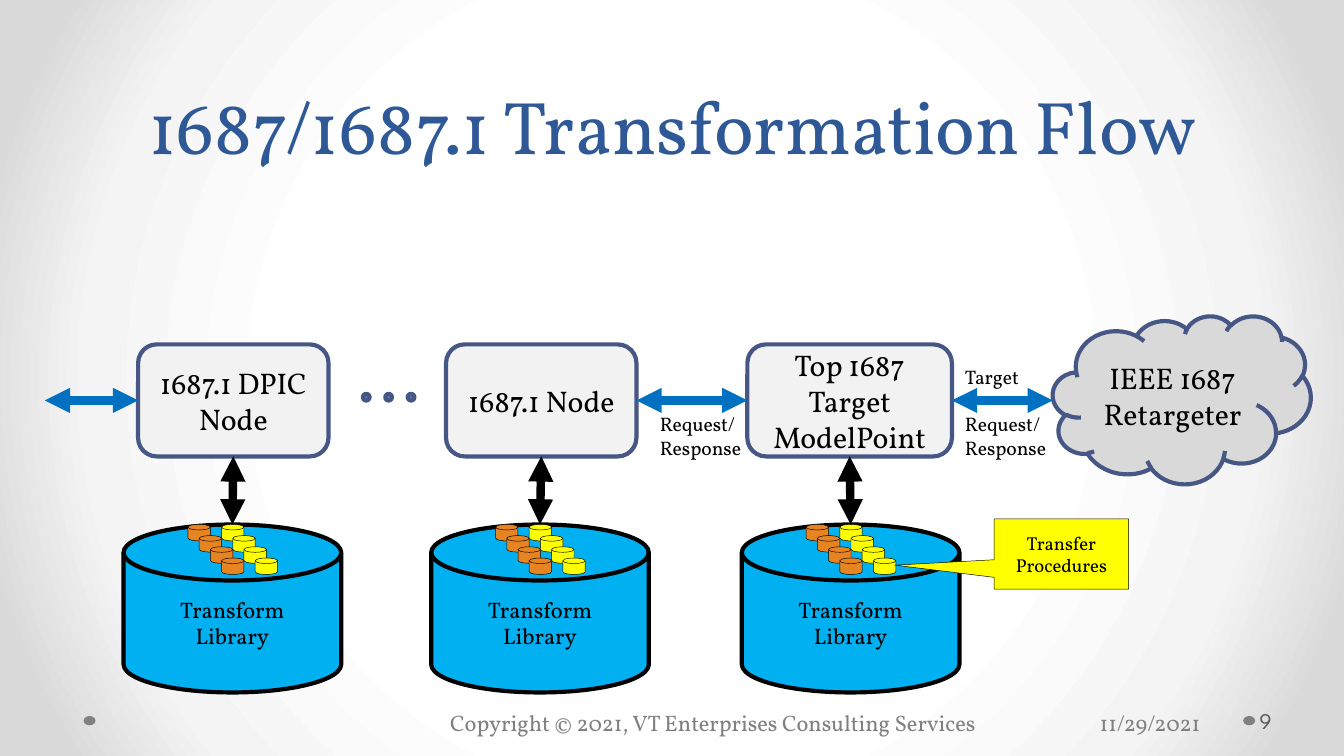
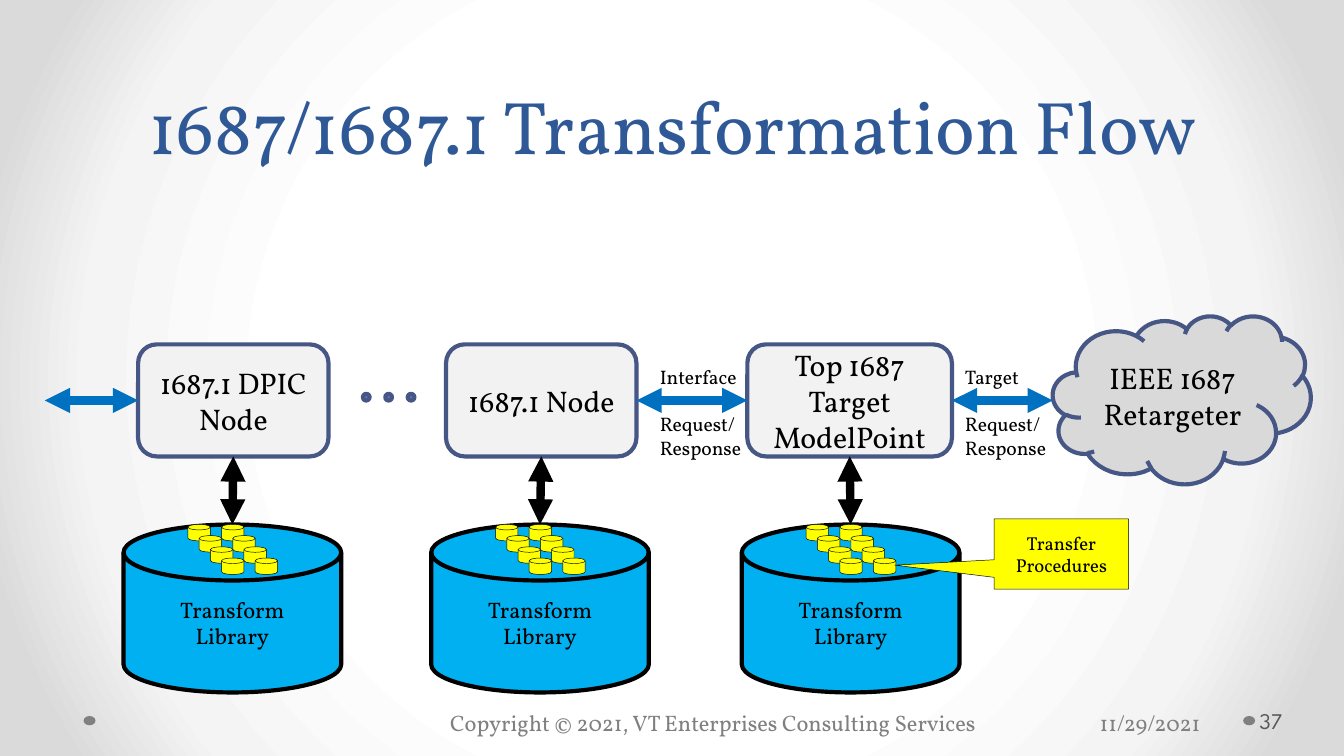
import lxml.etree
import pptx
import pptx.dml.color
import pptx.enum.shapes
import pptx.enum.text
import pptx.oxml
import pptx.oxml.ns
import pptx.util

Pt = pptx.util.Pt
RGBColor = pptx.dml.color.RGBColor
SHAPE = pptx.enum.shapes.MSO_SHAPE
ANCHOR = pptx.enum.text.MSO_ANCHOR
ALIGN = pptx.enum.text.PP_ALIGN
qn = pptx.oxml.ns.qn

# Content
TITLE = "1687/1687.1 Transformation Flow"
COPYRIGHT = "Copyright © 2021, VT Enterprises Consulting Services"
DATE = "11/29/2021"
RETARGETER = "IEEE 1687\nRetargeter"
LIBRARY = "Transform\nLibrary"
PROCEDURES = "Transfer\nProcedures"
EXCHANGE = "Request/\nResponse"

BLACK = RGBColor(0x00, 0x00, 0x00)
TITLE_BLUE = RGBColor(0x2F, 0x58, 0x97)
OUTLINE_BLUE = RGBColor(0x47, 0x57, 0x85)
DOT_BLUE = RGBColor(0x60, 0x76, 0xB4)
LINK_BLUE = RGBColor(0x00, 0x70, 0xC0)
LIBRARY_BLUE = RGBColor(0x00, 0xB0, 0xF0)
NODE_GREY = RGBColor(0xF2, 0xF2, 0xF2)
CLOUD_GREY = RGBColor(0xD9, 0xD9, 0xD9)
FOOTER_GREY = RGBColor(0x80, 0x80, 0x80)
NUMBER_GREY = RGBColor(0x59, 0x59, 0x59)
ORANGE = RGBColor(0xE6, 0x84, 0x22)
YELLOW = RGBColor(0xFF, 0xFF, 0x00)
BACKGROUND_STOPS = [(50, "FFFFFF"), (76, "F4F4F4"), (92, "DADADA")]

SERIF, SANS = "Vollkorn", "League Spartan"

# Node text, left, width, left of its library
NODES = [
    ("1687.1 DPIC Node", 74, 102, 66.2),
    ("1687.1 Node", 239, 102, 231),
    ("Top 1687 Target ModelPoint", 400.4, 109.6, 397.4),
]
# Slide number, label over the middle link, colour of the left procedures
SLIDES = [
    ("9", "", ORANGE),
    ("37", "Interface", YELLOW),
]

# Places, in points
NODE_TOP, NODE_HEIGHT = 184.5, 60
LINK_Y = NODE_TOP + NODE_HEIGHT / 2
LIBRARY_TOP, LIBRARY_WIDTH, LIBRARY_HEIGHT = 281, 116.6, 90
CLOUD_LEFT = 564
FLOW_START = 24
LABEL_TOP, LABEL_LINE = 192.2, 12.5
STEP = 6
PROCEDURE_ROWS = 4


def write(frame, text, size, color=BLACK, font=SERIF, align=None, paragraph=None):
    """Fill a paragraph, the first by default, with a run per line."""
    paragraph = paragraph or frame.paragraphs[0]
    paragraph.alignment = align
    for index, line in enumerate(text.split("\n")):
        if index:
            paragraph.add_line_break()
        run = paragraph.add_run()
        run.text = line
        run.font.size = Pt(size)
        run.font.name = font
        run.font.color.rgb = color
    return paragraph


def add_box(shapes, kind, place, fill, line=None, weight=2.25, text="", size=12):
    box = shapes.add_shape(kind, *map(Pt, place))
    box.shadow.inherit = False
    box.fill.solid()
    box.fill.fore_color.rgb = fill
    if line is None:
        box.line.fill.background()
    else:
        box.line.color.rgb = line
        box.line.width = Pt(weight)
    if text:
        box.text_frame.vertical_anchor = ANCHOR.MIDDLE
        write(box.text_frame, text, size, align=ALIGN.CENTER)
    return box


def add_text_frame(shapes, place):
    frame = shapes.add_textbox(*map(Pt, place)).text_frame
    frame.word_wrap = True
    return frame


def add_double_arrow(shapes, start, end, color):
    arrow = shapes.add_connector(
        pptx.enum.shapes.MSO_CONNECTOR.STRAIGHT, *map(Pt, start + end))
    arrow.line.color.rgb = color
    arrow.line.width = Pt(4.5)
    properties = arrow.element.spPr
    for tip in ("a:headEnd", "a:tailEnd"):
        lxml.etree.SubElement(
            properties.find(qn("a:ln")), qn(tip), type="triangle")
    lxml.etree.SubElement(properties, qn("a:effectLst"))
    return arrow


def set_background(master):
    master.background.fill.gradient()
    linear = next(master.element.iter(qn("a:gradFill")))
    stops = "".join(
        f'<a:gs pos="{place * 1000}"><a:srgbClr val="{color}"/></a:gs>'
        for place, color in BACKGROUND_STOPS)
    circular = pptx.oxml.parse_xml(
        f'<a:gradFill {pptx.oxml.ns.nsdecls("a")} rotWithShape="1">'
        f'<a:gsLst>{stops}</a:gsLst><a:path path="circle">'
        '<a:fillToRect l="50000" t="50000" r="50000" b="50000"/>'
        '</a:path></a:gradFill>')
    linear.getparent().replace(linear, circular)


def add_title(slide):
    title = slide.shapes.title
    title.left, title.top, title.width, title.height = map(Pt, (36, 0, 648, 94.5))
    title.text_frame.vertical_anchor = ANCHOR.BOTTOM
    heading = write(title.text_frame, TITLE, 40, TITLE_BLUE, align=ALIGN.CENTER)
    heading.line_spacing = Pt(58)


def add_footer(shapes, number):
    for left in (666, 44.8):
        add_box(shapes, SHAPE.OVAL, (left, 383.6, 6.4, 5), FOOTER_GREY)
    write(add_text_frame(shapes, (234, 376.6, 306, 21.6)), COPYRIGHT, 12, FOOTER_GREY)
    write(add_text_frame(shapes, (582, 376.6, 83.5, 20)), DATE, 12, FOOTER_GREY)
    frame = add_text_frame(shapes, (672.5, 375, 44, 21.6))
    frame.vertical_anchor = ANCHOR.MIDDLE
    frame.margin_left, frame.margin_right = Pt(2.2), Pt(3.6)
    write(frame, number, 12, NUMBER_GREY, SANS)


def add_link_label(shapes, left, above):
    """Write the optional word above a link and the exchange below it."""
    frame = add_text_frame(shapes, (left, LABEL_TOP, 60, 58.4))
    below = None
    if above:
        write(frame, above, 10.5)
        below = frame.add_paragraph()
        below.space_before = Pt(LABEL_LINE)
    else:
        frame.margin_top = Pt(3.6 + 2 * LABEL_LINE)
    write(frame, EXCHANGE, 10.5, paragraph=below)


def add_library(shapes, left, procedure_colors):
    add_box(shapes, SHAPE.FLOWCHART_MAGNETIC_DISK,
            (left, LIBRARY_TOP, LIBRARY_WIDTH, LIBRARY_HEIGHT),
            LIBRARY_BLUE, BLACK, text=LIBRARY)
    procedures = shapes.add_group_shape().shapes
    for column, color in enumerate(procedure_colors):
        for row in range(PROCEDURE_ROWS):
            x = left + 34.5 + (3 * column + row) * STEP
            add_box(procedures, SHAPE.FLOWCHART_MAGNETIC_DISK,
                    (x, LIBRARY_TOP + row * STEP, 12, 8.8), color, BLACK, 0.25)


def add_flow(shapes, interface, left_procedures):
    add_box(shapes, SHAPE.CLOUD, (CLOUD_LEFT, 169.2, 138.2, 90), CLOUD_GREY,
            OUTLINE_BLUE, text=RETARGETER, size=16)
    nodes = []
    for text, left, width, library_left in NODES:
        node = add_box(shapes, SHAPE.ROUNDED_RECTANGLE,
                       (left, NODE_TOP, width, NODE_HEIGHT),
                       NODE_GREY, OUTLINE_BLUE, text=text, size=16)
        nodes.append(node)
        add_library(shapes, library_left, (left_procedures, YELLOW))
        access = add_double_arrow(
            shapes, (left + width / 2, NODE_TOP + NODE_HEIGHT),
            (library_left + LIBRARY_WIDTH / 2, LIBRARY_TOP), BLACK)
        access.begin_connect(node, 2)

    dpic, middle, top = nodes
    # Each link runs from the left side of one part to the right side of another
    for source, source_x, target, target_x in [
        (None, CLOUD_LEFT, top, 510),
        (top, NODES[2][1], middle, 341),
        (dpic, NODES[0][1], None, FLOW_START),
    ]:
        link = add_double_arrow(
            shapes, (source_x, LINK_Y), (target_x, LINK_Y), LINK_BLUE)
        if source is not None:
            link.begin_connect(source, 1)
        if target is not None:
            link.end_connect(target, 3)

    add_link_label(shapes, 346.4, interface)
    add_link_label(shapes, 509.8, "Target")

    ellipsis = shapes.add_group_shape().shapes
    for index in range(3):
        add_box(ellipsis, SHAPE.OVAL, (194.4 + 12 * index, 211, 3.6, 3.6),
                DOT_BLUE, OUTLINE_BLUE)

    callout = add_box(shapes, SHAPE.RECTANGULAR_CALLOUT, (532.6, 278, 72, 37.6),
                      YELLOW, BLACK, 0.25, PROCEDURES, 10)
    callout.adjustments[0], callout.adjustments[1] = -1.24, 0.16


def main():
    deck = pptx.Presentation()
    deck.slide_width, deck.slide_height = Pt(720), Pt(405)
    set_background(deck.slide_master)
    for number, interface, left_procedures in SLIDES:
        slide = deck.slides.add_slide(deck.slide_layouts[5])
        add_footer(slide.shapes, number)
        add_title(slide)
        add_flow(slide.shapes, interface, left_procedures)
    deck.save("out.pptx")


if __name__ == "__main__":
    main()
